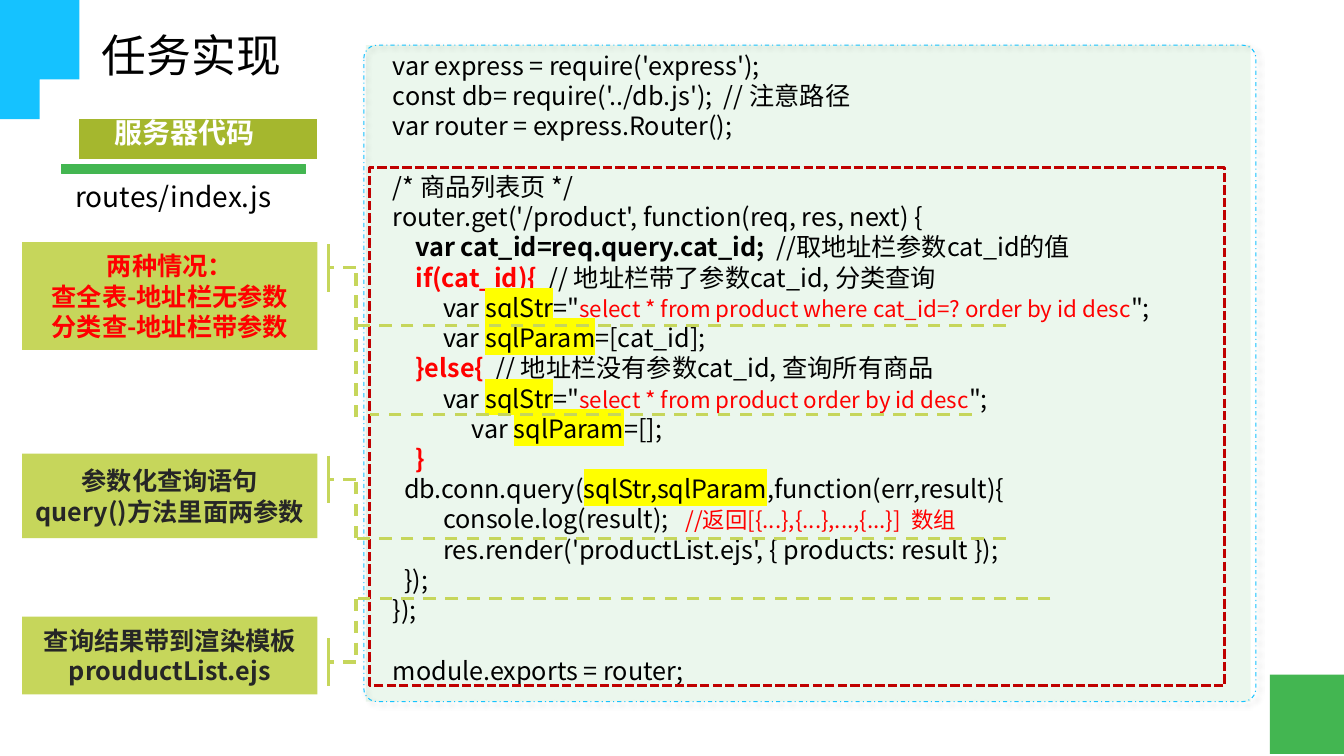
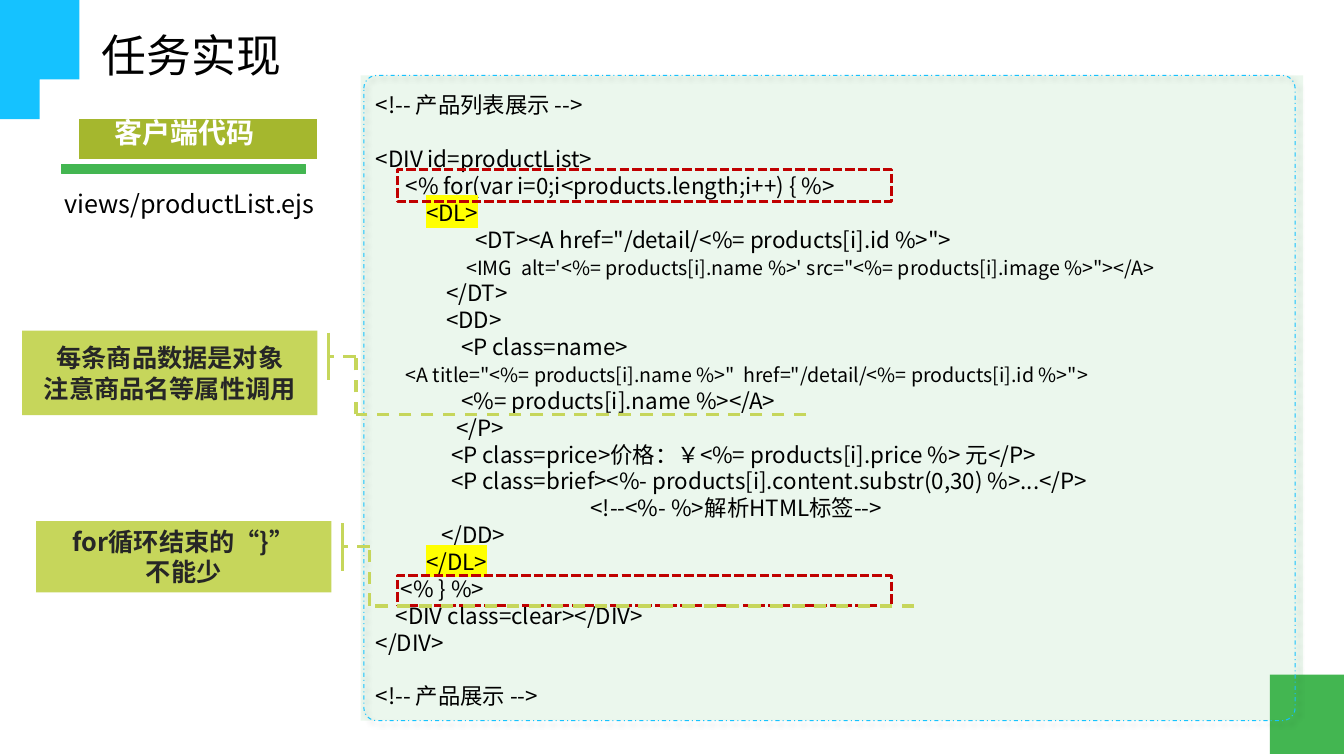
from lxml import etree
from pptx import Presentation
from pptx.dml.color import RGBColor
from pptx.enum.dml import MSO_LINE
from pptx.enum.shapes import MSO_CONNECTOR, MSO_SHAPE
from pptx.enum.text import MSO_ANCHOR, PP_ALIGN
from pptx.oxml.ns import qn
from pptx.util import Cm, Pt

RECTANGLE, ROUNDED = MSO_SHAPE.RECTANGLE, MSO_SHAPE.ROUNDED_RECTANGLE
STRAIGHT = MSO_CONNECTOR.STRAIGHT
DASH, DASH_DOT, SHORT_DASH = MSO_LINE.DASH, MSO_LINE.DASH_DOT, MSO_LINE.SQUARE_DOT
TOP, MIDDLE = MSO_ANCHOR.TOP, MSO_ANCHOR.MIDDLE
LEFT, CENTER = PP_ALIGN.LEFT, PP_ALIGN.CENTER

BLACK = RGBColor(0x00, 0x00, 0x00)
WHITE = RGBColor(0xFF, 0xFF, 0xFF)
CHARCOAL = RGBColor(0x26, 0x26, 0x26)
RED = RGBColor(0xFF, 0x00, 0x00)
DARK_RED = RGBColor(0xC0, 0x00, 0x00)
YELLOW = RGBColor(0xFF, 0xFF, 0x00)
GREEN = RGBColor(0x43, 0xB6, 0x51)
OLIVE = RGBColor(0xA5, 0xB7, 0x2E)
LIME = RGBColor(0xC6, 0xD6, 0x5B)
BLUE = RGBColor(0x15, 0xC2, 0xFF)

FONT = "Noto Sans CJK SC"
LINE_HEIGHT = 1.2
SLIDE_WIDTH, SLIDE_HEIGHT = 33.87, 19.05

# Each outline: start point, then curves (two controls, end) or corners.
TOP_BLOB = [
    (0, 3.2),
    ((0, 3.2), (1.45, 3.86), (1.09, 3.05)),
    ((1.09, 3.05), (0.66, 2.31), (1.42, 2.29)),
    ((1.42, 2.29), (3.18, 1.78), (1.9, 0)),
    (0, 0),
]
BOTTOM_BLOB = [
    (31.8, 19.05),
    ((31.8, 19.05), (32.41, 18.77), (31.8, 18.03)),
    ((31.17, 17.32), (31.9, 16.92), (32.44, 17.09)),
    ((32.97, 17.3), (33.66, 17.3), (33.87, 16.66)),
    (33.87, 19.05),
]
BANNER = [(1.83, 2.67), (7.54, 2.72), (7.9, 3.84), (1.5, 3.84)]

# Span styles of the code listings
BOLD = {"bold": True}
KEYWORD = {"bold": True, "color": RED}
MARKED = {"highlight": YELLOW}
QUERY = {"size": 16, "color": RED}
SMALL = {"size": 14}

# A line is plain text or a list of (text, style) spans; None leaves a gap.
SERVER_CODE = [
    "var express = require('express');",
    "const db= require('../db.js');  // 注意路径",
    "var router = express.Router();",
    None,
    "/* 商品列表页 */",
    "router.get('/product', function(req, res, next) {",
    [("    ", {}), ("var cat_id=req.query.cat_id;  ", BOLD),
     ("//取地址栏参数cat_id的值", {})],
    [("    ", {}), ("if(cat_id){", KEYWORD),
     ("  // 地址栏带了参数cat_id, 分类查询", {})],
    [("  \tvar ", {}), ("sqlStr", MARKED), ('="', {}),
     ("select * from product where cat_id=? order by id desc", QUERY), ('";', {})],
    [("  \tvar ", {}), ("sqlParam", MARKED), ("=[cat_id];", {})],
    [("   ", {}), (" }else{ ", KEYWORD),
     (" // 地址栏没有参数cat_id, 查询所有商品", {})],
    [("  \tvar ", {}), ("sqlStr", MARKED), ('="', {}),
     ("select * from product order by id desc", QUERY), ('";', {})],
    [("              var ", {}), ("sqlParam", MARKED), ("=[];", {})],
    [("   ", {}), (" }", KEYWORD)],
    [("  db.conn.query(", {}), ("sqlStr,sqlParam", MARKED),
     (",function(err,result){", {})],
    [("  \tconsole.log(result);  ", {}),
     (" //返回[{...},{...},...,{...}]  数组", QUERY)],
    "  \tres.render('productList.ejs', { products: result });",
    "  });",
    "});",
    None,
    "module.exports = router;",
]
CLIENT_CODE = [
    "<!-- 产品列表展示 -->",
    None,
    "<DIV id=productList>",
    "      <% for(var i=0;i<products.length;i++) { %>",
    [("\t", {}), ("<DL>", MARKED)],
    '                    <DT><A href="/detail/<%= products[i].id %>">',
    [("\t        ", {}),
     ("<IMG  alt='<%= products[i].name %>' src=\"<%= products[i].image %>\"></A>", SMALL)],
    "\t    </DT>",
    "\t    <DD>",
    "\t       <P class=name>",
    [("      ", {}),
     ('<A title="<%= products[i].name %>"  href="/detail/<%= products[i].id %>">', SMALL)],
    "\t       <%= products[i].name %></A>",
    "\t      </P>",
    "\t     <P class=price>价格：￥<%= products[i].price %> 元</P>",
    "\t     <P class=brief><%- products[i].content.substr(0,30) %>...</P>",
    "                                           <!--<%- %>解析HTML标签-->",
    "\t   </DD>",
    [("\t", {}), ("</DL>", MARKED)],
    "     <% } %>",
    "    <DIV class=clear></DIV>",
    "</DIV>",
    None,
    "<!-- 产品展示 -->",
]


def add_span(para, text, size=18, color=BLACK, bold=False, highlight=None):
    span = para.add_run()
    span.text = text
    font = span.font
    font.size, font.bold = Pt(size), bold
    font.color.rgb = color
    properties = font._element
    if highlight is not None:
        mark = etree.SubElement(properties, qn("a:highlight"))
        etree.SubElement(mark, qn("a:srgbClr"), val=str(highlight))
    font.name = FONT
    etree.SubElement(properties, qn("a:ea"), typeface=FONT)


def fill_frame(frame, lines, align=LEFT, anchor=TOP, wrap=True, size=18, **base):
    frame.word_wrap, frame.vertical_anchor = wrap, anchor
    para, gap = None, 0
    for line in lines:
        if line is None:
            gap = size * LINE_HEIGHT
            continue
        para = frame.paragraphs[0] if para is None else frame.add_paragraph()
        para.alignment = align
        if gap:
            para.space_before = Pt(gap)
            gap = 0
        spans = [(line, {})] if isinstance(line, str) else line
        for text, style in spans:
            add_span(para, text, **{"size": size, **base, **style})


def add_text(page, box, lines, **style):
    area = page.shapes.add_textbox(*map(Cm, box))
    fill_frame(area.text_frame, lines, **style)


def paint(shape, fill=None, line=None, width=1, dash=None):
    shape.shadow.inherit = False
    if fill is None:
        shape.fill.background()
    else:
        shape.fill.solid()
        shape.fill.fore_color.rgb = fill
    if line is None:
        shape.line.fill.background()
    else:
        shape.line.color.rgb = line
        shape.line.width = Pt(width)
        if dash is not None:
            shape.line.dash_style = dash


def add_box(page, kind, box, **style):
    shape = page.shapes.add_shape(kind, *map(Cm, box))
    paint(shape, **style)
    return shape


def add_line(page, start, end, dash=DASH):
    line = page.shapes.add_connector(STRAIGHT, *map(Cm, start + end))
    line.line.color.rgb = LIME
    line.line.width = Pt(2.25)
    if dash is not None:
        line.line.dash_style = dash
    etree.SubElement(line._element.spPr, qn("a:effectLst"))


def add_outline(page, outline, fill, steps=16):
    """Draw a closed outline, sampling each cubic curve in equal steps."""
    points = [outline[0]]
    for part in outline[1:]:
        if len(part) == 2:
            points.append(part)
            continue
        start = points[-1]
        for step in range(1, steps + 1):
            t = step / steps
            u = 1 - t
            weights = (u ** 3, 3 * u * u * t, 3 * u * t * t, t ** 3)
            points.append(tuple(
                sum(w * point[axis] for w, point in zip(weights, (start, *part)))
                for axis in (0, 1)))
    builder = page.shapes.build_freeform(*points[0], scale=float(Cm(1)))
    builder.add_line_segments(points[1:], close=True)
    paint(builder.convert_to_shape(), fill=fill)


def add_header(page, label, file_name, file_box, file_size):
    title = page.shapes.title
    title.left, title.top, title.width, title.height = map(Cm, (2.31, 0.56, 5.03, 1.63))
    fill_frame(title.text_frame, ["任务实现"], wrap=False, size=32)
    add_text(page, file_box, [file_name], size=file_size)
    add_box(page, RECTANGLE, (1.55, 4.14, 6.15, 0.23), fill=GREEN, line=GREEN)
    add_outline(page, BANNER, OLIVE)
    add_text(page, (2.63, 2.79, 4.04, 1.12), [label], wrap=False, size=20,
             color=WHITE, bold=True)


def add_code_panel(page, tint_box, border_box, text_box, code, size, frames):
    tint = add_box(page, RECTANGLE, tint_box, fill=GREEN)
    tint_color = tint._element.spPr.find(qn("a:solidFill"))[0]
    etree.SubElement(tint_color, qn("a:alpha"), val="10000")
    border = add_box(page, ROUNDED, border_box, line=BLUE, width=0.75, dash=DASH_DOT)
    border.adjustments[0] = 0.02
    effects = border._element.spPr.find(qn("a:effectLst"))
    shadow = etree.SubElement(effects, qn("a:outerShdw"), blurRad=str(Pt(4)),
                              dist=str(Pt(3)), dir="2700000", algn="tl")
    shade = etree.SubElement(shadow, qn("a:srgbClr"), val=str(BLACK))
    etree.SubElement(shade, qn("a:alpha"), val="40000")
    add_text(page, text_box, code, size=size)
    for frame in frames:
        add_box(page, RECTANGLE, frame, line=DARK_RED, width=2.25, dash=SHORT_DASH)


def add_callout(page, box, lines, reach, color=CHARCOAL, elbow=0.65, stem_end=None):
    """Place a note and the bracket that leads from it to the point reach."""
    left, top = box[:2]
    note = add_box(page, RECTANGLE, box, fill=LIME)
    fill_frame(note.text_frame, lines, align=CENTER, anchor=MIDDLE, color=color, bold=True)
    tick, stem, middle = left + 7.72, left + 8.41, top + elbow
    add_line(page, reach, (stem, reach[1]))
    add_line(page, (stem, stem_end or reach[1]), (stem, middle))
    add_line(page, (stem, middle), (tick, middle))
    add_line(page, (tick, middle - 0.6), (tick, middle + 0.6), dash=None)


def add_page(deck):
    page = deck.slides.add_slide(deck.slide_layouts[5])
    add_outline(page, TOP_BLOB, BLUE)
    add_outline(page, BOTTOM_BLOB, GREEN)
    return page


def build_server_page(deck):
    page = add_page(deck)
    add_code_panel(page, (9.22, 1.14, 22.3, 16.54), (9.17, 1.14, 22.48, 16.54),
                   (9.65, 1.14, 21.13, 16.54), SERVER_CODE, 18,
                   [(9.32, 4.22, 21.54, 13.06)])
    add_header(page, "服务器代码", "routes/index.js", (1.65, 4.39, 5.82, 1.12), 20)
    add_callout(page, (0.56, 11.43, 7.44, 2.13),
                ["参数化查询语句", "query()方法里面两参数"], (25.35, 13.56))
    add_callout(page, (0.56, 15.54, 7.44, 1.96),
                ["查询结果带到渲染模板", "prouductList.ejs"], (26.47, 15.09), elbow=1.14)
    add_callout(page, (0.56, 6.1, 7.44, 2.72),
                ["两种情况：", "查全表-地址栏无参数", "分类查-地址栏带参数"],
                (25.35, 8.2), color=RED, stem_end=10.52)
    add_line(page, (24.49, 10.44), (9.32, 10.44))


def build_client_page(deck):
    page = add_page(deck)
    add_code_panel(page, (9.09, 1.9, 23.75, 16.26), (9.17, 1.9, 23.47, 16.26),
                   (9.22, 2.18, 23.24, 15.39), CLIENT_CODE, 16,
                   [(10.01, 4.27, 12.45, 0.81), (10.01, 14.5, 12.45, 0.76)])
    add_header(page, "客户端代码", "views/productList.ejs", (1.37, 4.62, 7.8, 1.02), 18)
    add_callout(page, (0.56, 8.33, 7.44, 2.13),
                ["每条商品数据是对象", "注意商品名等属性调用"], (20.32, 10.44))
    add_callout(page, (0.91, 13.13, 7.44, 1.8),
                ["for循环结束的“}”", "不能少"], (23.04, 15.27))


def main():
    deck = Presentation()
    deck.slide_width, deck.slide_height = Cm(SLIDE_WIDTH), Cm(SLIDE_HEIGHT)
    build_server_page(deck)
    build_client_page(deck)
    deck.save("out.pptx")


if __name__ == "__main__":
    main()
